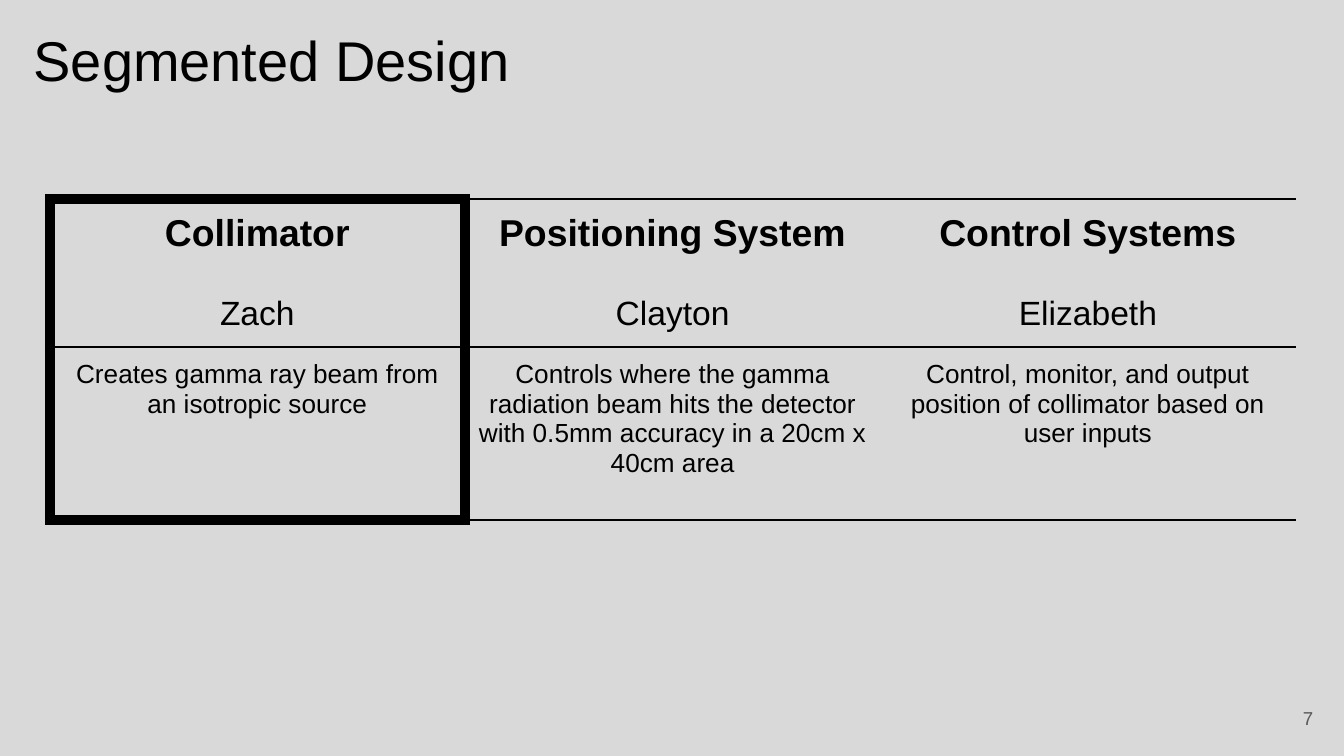
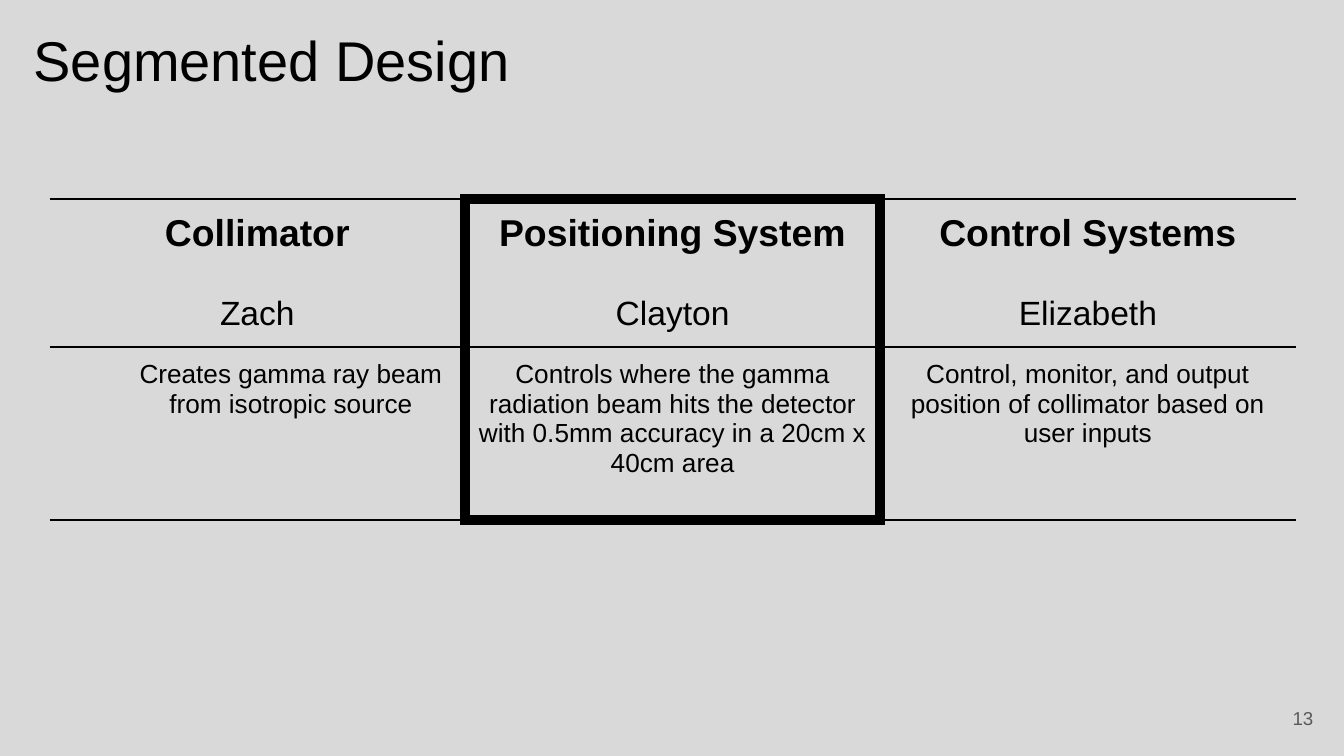
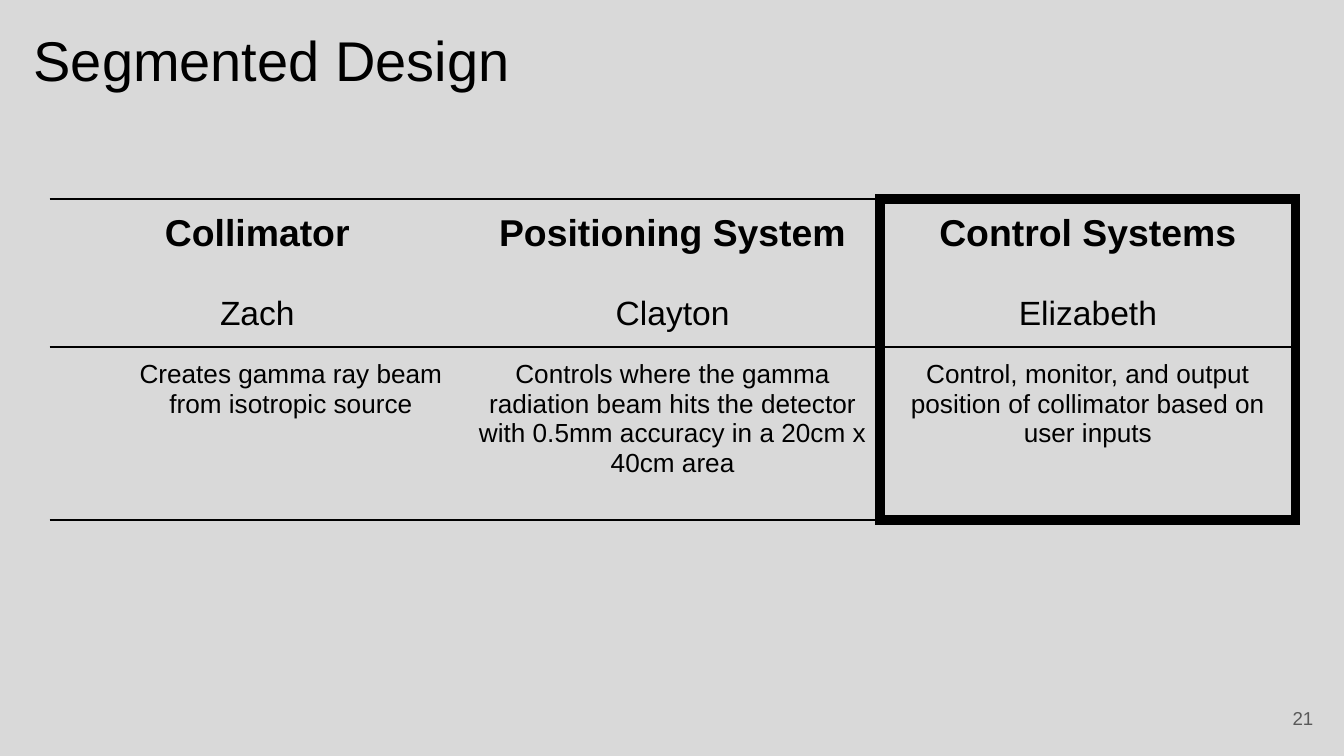
"""Three slides that mark, in turn, each segment of the design."""
from lxml import etree
from pptx import Presentation
from pptx import util as u
from pptx.dml.color import RGBColor
from pptx.enum import text
from pptx.oxml.ns import qn

HEADING = "Segmented Design"
FONT = "Arial"
BLACK, GREY, BACKGROUND = "000000", "595959", "D9D9D9"
SEGMENTS = [
    ("Collimator", "Zach", "Creates gamma ray beam from isotropic source"),
    ("Positioning System", "Clayton",
     "Controls where the gamma radiation beam hits the detector "
     "with 0.5mm accuracy in a 20cm x 40cm area"),
    ("Control Systems", "Elizabeth",
     "Control, monitor, and output position of collimator based on user inputs"),
]
COLLIMATOR_IN_FOCUS = "Creates gamma ray beam from an isotropic source"
PAGES = [(7, 0), (13, 1), (21, 2)]

LEFT, TOP, COLUMN = 0.37, 1.48, 3.09
ROWS = (1.1, 1.29)
MARGIN, INDENT = 0.1, 0.5
THIN, THICK = 1.5, 6
NO_STYLE = "{2D5ABB26-0587-4C30-8999-92F81FD0307C}"


def rgb(value):
    """Turn a hex string into a colour."""
    return RGBColor.from_string(value)


def write(paragraph, words, size, align, color=BLACK, bold=False):
    """Add one formatted run to a paragraph."""
    paragraph.alignment = align
    run = paragraph.add_run()
    run.text = words
    font = run.font
    font.name, font.size, font.bold = FONT, u.Pt(size), bold
    font.color.rgb = rgb(color)


def set_margins(holder):
    """Give a text frame or a cell the shared inner margin."""
    holder.margin_left = holder.margin_right = u.Inches(MARGIN)
    holder.margin_top = holder.margin_bottom = u.Inches(MARGIN)


def prepare(frame, anchor):
    """Set the wrapping, margins and anchor of a text frame."""
    frame.word_wrap = True
    frame.auto_size = text.MSO_AUTO_SIZE.NONE
    frame.vertical_anchor = anchor
    set_margins(frame)


def set_borders(cell, widths):
    """Draw the left, right, top and bottom borders; zero means none."""
    properties = cell._tc.get_or_add_tcPr()
    for place, (side, width) in enumerate(zip("LRTB", widths)):
        line = etree.Element(qn(f"a:ln{side}"), w=str(u.Pt(width)))
        if width:
            fill = etree.SubElement(line, qn("a:solidFill"))
            etree.SubElement(fill, qn("a:srgbClr"), val=BLACK)
        else:
            etree.SubElement(line, qn("a:noFill"))
        properties.insert(place, line)


def add_heading(slide):
    """Fill and place the title."""
    title = slide.shapes.title
    title.left, title.top = u.Inches(0.15), u.Inches(0.09)
    title.width, title.height = u.Inches(5.95), u.Inches(0.59)
    prepare(title.text_frame, text.MSO_ANCHOR.TOP)
    write(title.text_frame.paragraphs[0], HEADING, 30, text.PP_ALIGN.LEFT)


def add_page_number(slide, number):
    """Put the page number in the lower right corner."""
    frame = slide.shapes.add_textbox(
        u.Inches(9.33), u.Inches(5.15), u.Inches(0.54), u.Inches(0.38)).text_frame
    prepare(frame, text.MSO_ANCHOR.MIDDLE)
    write(frame.paragraphs[0], str(number), 10, text.PP_ALIGN.RIGHT, GREY)


def add_segments(slide, focus):
    """Add the table of segments with a thick frame round one column."""
    table = slide.shapes.add_table(
        len(ROWS), len(SEGMENTS), u.Inches(LEFT), u.Inches(TOP),
        u.Inches(COLUMN * len(SEGMENTS)), u.Inches(sum(ROWS))).table
    table.first_row = table.horz_banding = False
    table._tbl.tblPr.find(qn("a:tableStyleId")).text = NO_STYLE
    for row, height in zip(table.rows, ROWS):
        row.height = u.Inches(height)

    center = text.PP_ALIGN.CENTER
    for column, (segment, owner, task) in enumerate(SEGMENTS):
        table.columns[column].width = u.Inches(COLUMN)
        head, body = table.cell(0, column), table.cell(1, column)
        write(head.text_frame.paragraphs[0], segment, 20, center, bold=True)
        owner_line = head.text_frame.add_paragraph()
        owner_line.space_before = u.Pt(22)
        write(owner_line, owner, 18, center)

        task_line = body.text_frame.paragraphs[0]
        if column == 0 and focus == 0:
            task = COLLIMATOR_IN_FOCUS
        elif column == 0:
            indents = task_line._p.get_or_add_pPr()
            indents.set("marL", str(u.Inches(INDENT)))
            indents.set("indent", "0")
        write(task_line, task, 14, center)

        sides = [THICK if edge in (focus, focus + 1) else 0
                 for edge in (column, column + 1)]
        outer = THICK if column == focus else THIN
        for cell, ends in ((head, (outer, THIN)), (body, (THIN, outer))):
            set_margins(cell)
            cell.fill.background()
            set_borders(cell, (*sides, *ends))


def main():
    """Build and save the slides."""
    deck = Presentation()
    deck.slide_width = u.Inches(10)
    deck.slide_height = deck.slide_width * 9 // 16
    backdrop = deck.slide_master.background.fill
    backdrop.solid()
    backdrop.fore_color.rgb = rgb(BACKGROUND)
    for number, focus in PAGES:
        slide = deck.slides.add_slide(deck.slide_layouts[5])
        add_heading(slide)
        add_page_number(slide, number)
        add_segments(slide, focus)
    deck.save("out.pptx")


if __name__ == "__main__":
    main()
